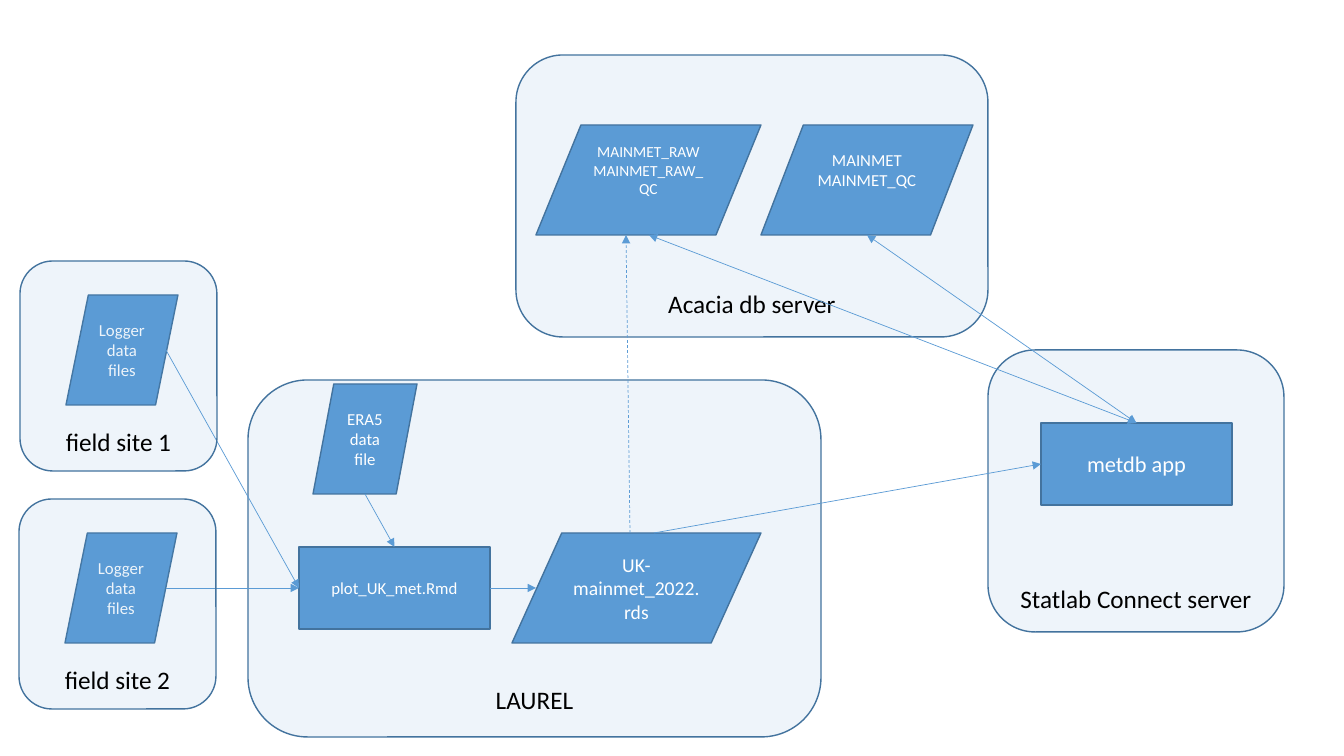
"""Draw the flow of weather data from field sites to the database and the app."""
from dataclasses import dataclass

from pptx import Presentation
from pptx.dml.color import RGBColor
from pptx.enum.dml import MSO_LINE
from pptx.enum.shapes import MSO_CONNECTOR, MSO_SHAPE
from pptx.enum.text import MSO_ANCHOR, PP_ALIGN
from pptx.oxml.ns import qn
from pptx.util import Pt
from lxml import etree

PANEL = MSO_SHAPE.ROUNDED_RECTANGLE
DATA = MSO_SHAPE.FLOWCHART_DATA
PROCESS = MSO_SHAPE.FLOWCHART_PROCESS
STRAIGHT = MSO_CONNECTOR.STRAIGHT
DASH = MSO_LINE.DASH
BOTTOM, MIDDLE = MSO_ANCHOR.BOTTOM, MSO_ANCHOR.MIDDLE
CENTER = PP_ALIGN.CENTER
TOP, LEFT, RIGHT = 0, 1, 3

SLIDE_W, SLIDE_H = 1344, 756
EMU_PER_PX = 914400 / 100.8
FONT = "Calibri"
BLUE, EDGE, BLACK, WHITE = "5B9BD5", "43739E", "000000", "FFFFFF"
PANEL_ALPHA = "10000"


@dataclass(frozen=True)
class Box:
    """A shape with centred text; lift is extra bottom inset."""
    kind: int
    x: int
    y: int
    w: int
    h: int
    text: str
    size: int = 12
    lift: int = 0


@dataclass(frozen=True)
class Flow:
    """An arrow between points; a named box and side glue an end."""
    start: tuple[int, int]
    end: tuple[int, int]
    start_at: tuple[str, int] | None = None
    end_at: tuple[str, int] | None = None
    both: bool = False
    dashed: bool = False


LOGGER = "Logger\ndata\nfiles"
SCRIPT, APP = "plot_UK_met.Rmd", "metdb app"

SERVERS = [
    Box(PANEL, 516, 55, 472, 282, "Acacia db server", 18),
    Box(PANEL, 248, 380, 573, 357, "LAUREL", 18),
    Box(PANEL, 988, 350, 296, 282, "Statlab Connect server", 18),
]
NODES = [
    Box(DATA, 313, 384, 104, 110, "ERA5\ndata\nfile"),
    Box(DATA, 65, 533, 112, 110, LOGGER),
    Box(PROCESS, 299, 547, 191, 82, SCRIPT),
    Box(DATA, 512, 533, 249, 110, "UK-mainmet_2022.rds", 14),
    Box(PROCESS, 1041, 423, 191, 82, APP, 16),
    Box(DATA, 536, 125, 225, 110, "MAINMET_RAW\nMAINMET_RAW_QC", 11, 20),
    Box(DATA, 761, 125, 212, 110, "MAINMET\nMAINMET_QC", 12, 20),
    Box(DATA, 66, 295, 112, 110, LOGGER),
]
FLOWS = [
    Flow((365, 494), (395, 547), end_at=(SCRIPT, TOP)),
    Flow((166, 588), (299, 588), end_at=(SCRIPT, LEFT)),
    Flow((490, 588), (536, 588), start_at=(SCRIPT, RIGHT)),
    Flow((654, 533), (1041, 464), end_at=(APP, LEFT)),
    Flow((649, 235), (1136, 423), end_at=(APP, TOP), both=True),
    Flow((630, 533), (626, 235), dashed=True),
    Flow((1136, 423), (867, 235), start_at=(APP, TOP), both=True),
    Flow((166, 350), (299, 588), end_at=(SCRIPT, LEFT)),
]
SITES = [
    Box(PANEL, 19, 499, 197, 210, "field site 2", 18),
    Box(PANEL, 20, 261, 197, 210, "field site 1", 18),
]


def px(n: int) -> int:
    """Turn px into EMU."""
    return round(n * EMU_PER_PX)


def rgb(value: str) -> RGBColor:
    """Turn a hex string into a colour."""
    return RGBColor.from_string(value)


def write(tf, text: str, *, size: int, color: str, anchor) -> None:
    """Fill a text frame with one centred paragraph per line."""
    tf.word_wrap = True
    tf.vertical_anchor = anchor
    for i, line in enumerate(text.split("\n")):
        p = tf.add_paragraph() if i else tf.paragraphs[0]
        p.alignment = CENTER
        r = p.add_run()
        r.text = line
        r.font.name = FONT
        r.font.size = Pt(size)
        r.font.color.rgb = rgb(color)


def draw_box(s, box: Box):
    """Draw a box, translucent when it is a panel."""
    sp = s.shapes.add_shape(box.kind, px(box.x), px(box.y), px(box.w), px(box.h))
    sp.shadow.inherit = False
    sp.fill.solid()
    sp.fill.fore_color.rgb = rgb(BLUE)
    sp.line.color.rgb = rgb(EDGE)
    sp.line.width = Pt(1)
    panel = box.kind == PANEL
    if panel:
        fill = sp.element.spPr.find(qn("a:solidFill"))
        etree.SubElement(fill[0], qn("a:alpha"), val=PANEL_ALPHA)
    tf = sp.text_frame
    tf.margin_bottom += px(box.lift)
    write(tf, box.text, size=box.size, color=BLACK if panel else WHITE,
          anchor=BOTTOM if panel else MIDDLE)
    return sp


def draw_flow(s, flow: Flow, nodes: dict) -> None:
    """Draw an arrow and glue its ends to the boxes it names."""
    points = map(px, flow.start + flow.end)
    cx = s.shapes.add_connector(STRAIGHT, *points)
    if flow.start_at:
        name, side = flow.start_at
        cx.begin_connect(nodes[name], side)
    if flow.end_at:
        name, side = flow.end_at
        cx.end_connect(nodes[name], side)
    cx.line.color.rgb = rgb(BLUE)
    cx.line.width = Pt(0.5)
    if flow.dashed:
        cx.line.dash_style = DASH
    spPr = cx._element.spPr
    ln = spPr.find(qn("a:ln"))
    if flow.both:
        etree.SubElement(ln, qn("a:headEnd"), type="triangle")
    etree.SubElement(ln, qn("a:tailEnd"), type="triangle")
    etree.SubElement(spPr, qn("a:effectLst"))


def main() -> None:
    """Build the slide and save it."""
    prs = Presentation()
    prs.slide_width, prs.slide_height = px(SLIDE_W), px(SLIDE_H)
    s = prs.slides.add_slide(prs.slide_layouts[6])
    for box in SERVERS:
        draw_box(s, box)
    nodes = {box.text: draw_box(s, box) for box in NODES}
    for flow in FLOWS:
        draw_flow(s, flow, nodes)
    for box in SITES:
        draw_box(s, box)
    prs.save("out.pptx")


if __name__ == "__main__":
    main()
